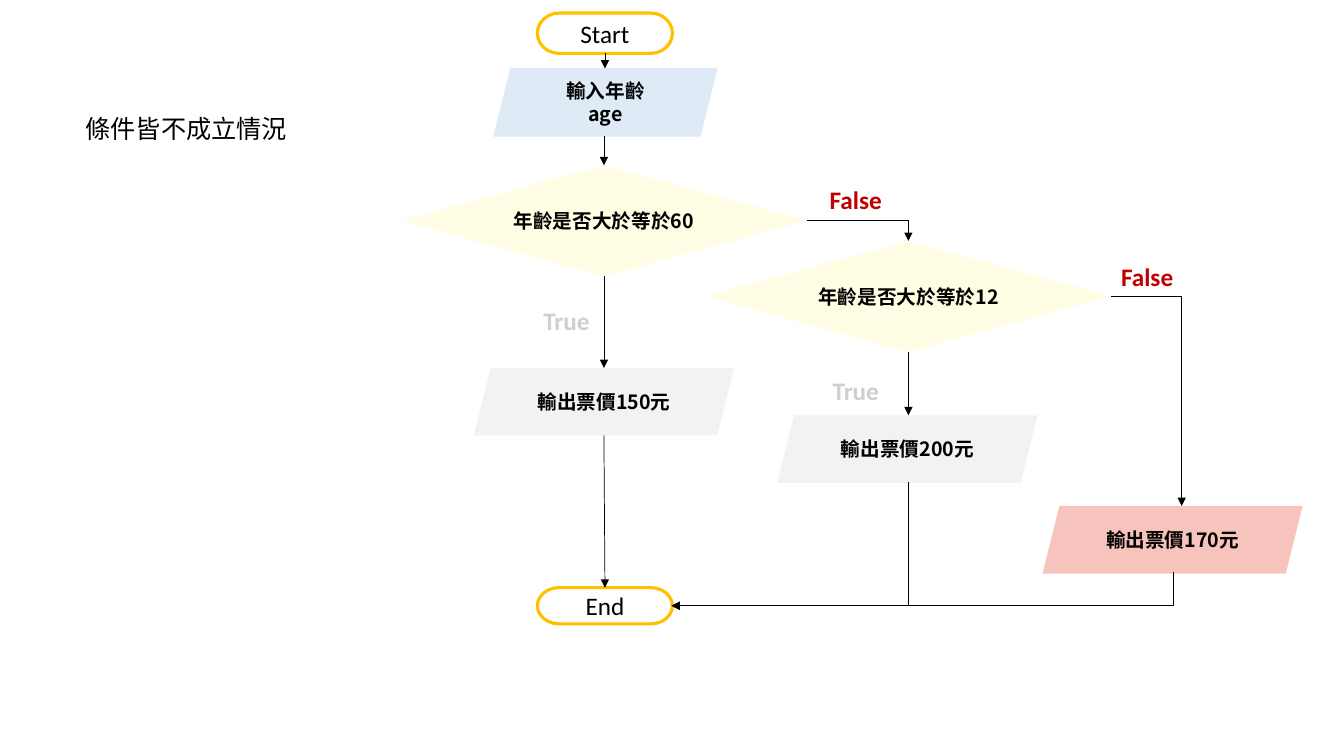
from lxml import etree
from pptx import Presentation
from pptx.dml.color import RGBColor
from pptx.enum.shapes import MSO_CONNECTOR, MSO_SHAPE
from pptx.enum.text import MSO_ANCHOR, MSO_AUTO_SIZE, PP_ALIGN
from pptx.oxml.ns import qn
from pptx.util import Inches, Pt

BLACK = RGBColor(0x00, 0x00, 0x00)
WHITE = RGBColor(0xFF, 0xFF, 0xFF)
GOLD = RGBColor(0xFF, 0xC0, 0x00)
BLUE = RGBColor(0xDE, 0xEB, 0xF7)
CREAM = RGBColor(0xFF, 0xFD, 0xE3)
GREY = RGBColor(0xF2, 0xF2, 0xF2)
PINK = RGBColor(0xF6, 0xC4, 0xBC)
RED = RGBColor(0xC0, 0x00, 0x00)
SILVER = RGBColor(0xD0, 0xCE, 0xCE)

SLANT = MSO_SHAPE.PARALLELOGRAM
DIAMOND = MSO_SHAPE.DIAMOND
PILL = MSO_SHAPE.FLOWCHART_TERMINATOR
STRAIGHT, ELBOW = MSO_CONNECTOR.STRAIGHT, MSO_CONNECTOR.ELBOW
CENTER, MIDDLE = PP_ALIGN.CENTER, MSO_ANCHOR.MIDDLE
GROW = MSO_AUTO_SIZE.SHAPE_TO_FIT_TEXT
TOP, BOTTOM = 0, 2


class Chart:
    """Flowchart style and the slide it is drawn on."""

    latin, asian = "Calibri", "Noto Sans CJK SC"

    def __init__(self, slide):
        self.shapes = slide.shapes

    def put_text(self, frame, text, size, name, color=BLACK, bold=False, align=None):
        frame.text = text
        for para in frame.paragraphs:
            para.alignment = align
            font = para.font
            font.size, font.name, font.bold = Pt(size), name, bold
            font.color.rgb = color
            props = para._p.pPr.find(qn("a:defRPr"))
            etree.SubElement(props, qn("a:ea")).set("typeface", self.asian)

    def box(self, kind, x, y, w, h, fill, text, edge=None, width=1):
        shape = self.shapes.add_shape(kind, Inches(x), Inches(y), Inches(w), Inches(h))
        shape.shadow.inherit = False
        shape.fill.solid()
        shape.fill.fore_color.rgb = fill
        if edge is None:
            shape.line.fill.background()
        else:
            shape.line.color.rgb = edge
            shape.line.width = Pt(width)
        frame = shape.text_frame
        frame.word_wrap, frame.vertical_anchor = True, MIDDLE
        pill = kind == PILL
        self.put_text(frame, text, 18 if pill else 14,
                      self.latin if pill else self.asian, bold=not pill, align=CENTER)
        return shape

    def pill(self, y, h, text):
        return self.box(PILL, 5.33, y, 1.34, h, WHITE, text, GOLD, 2.25)

    def test(self, x, y, text):
        return self.box(DIAMOND, x, y, 4.02, 1.1, CREAM, text)

    def price(self, x, y, fill, cost):
        return self.box(SLANT, x, y, 2.58, 0.67, fill, f"輸出票價{cost}元")

    def label(self, x, y, w, text, color=BLACK, bold=True):
        area = self.shapes.add_textbox(Inches(x), Inches(y), Inches(w), Inches(0.4))
        frame = area.text_frame
        frame.word_wrap, frame.auto_size = False, GROW
        self.put_text(frame, text, 18, self.latin, color, bold)

    def link(self, kind, x1, y1, x2, y2):
        line = self.shapes.add_connector(
            kind, Inches(x1), Inches(y1), Inches(x2), Inches(y2))
        line.line.color.rgb = BLACK
        line.line.width = Pt(0.5)
        props = line._element.spPr
        tail = etree.SubElement(props.find(qn("a:ln")), qn("a:tailEnd"))
        tail.set("type", "triangle")
        etree.SubElement(props, qn("a:effectLst"))
        return line

    def arrow(self, x, y1, y2, begin=None, end=None):
        line = self.link(STRAIGHT, x, y1, x, y2)
        if begin is not None:
            line.begin_connect(begin, BOTTOM)
        if end is not None:
            line.end_connect(end, TOP)

    def bend(self, x1, y1, x2, y2, down=False):
        """One corner: across then down, or down then back to the left."""
        if down:
            # A quarter turn keeps the centre and swaps width and height.
            mx, my = (x1 + x2) / 2, (y1 + y2) / 2
            dx, dy = (y2 - y1) / 2, (x1 - x2) / 2
            x1, y1, x2, y2 = mx - dx, my - dy, mx + dx, my + dy
        line = self.link(ELBOW, x1, y1, x2, y2)
        props = line._element.spPr
        props.find(qn("a:prstGeom")).set("prst", "bentConnector2")
        if down:
            props.find(qn("a:xfrm")).set("rot", "5400000")


def main():
    deck = Presentation()
    deck.slide_width, deck.slide_height = Inches(13.33), Inches(7.5)
    chart = Chart(deck.slides.add_slide(deck.slide_layouts[6]))

    # Steps
    chart.box(SLANT, 4.9, 0.68, 2.21, 0.67, BLUE, "輸入年齡\nage", BLUE)
    start = chart.pill(0.13, 0.4, "Start")
    end = chart.pill(5.83, 0.36, "End")
    senior = chart.test(3.98, 1.64, "年齡是否大於等於60")
    child = chart.test(7, 2.39, "年齡是否大於等於12")
    chart.price(4.7, 3.65, GREY, 150)
    chart.price(7.71, 4.12, GREY, 200)
    chart.price(10.34, 5.02, PINK, 170)

    # Title and branch labels
    chart.label(0.75, 1.08, 2.22, "條件皆不成立情況", bold=False)
    for x, y in ((5.29, 2.98), (8.16, 3.67)):
        chart.label(x, y, 0.66, "True", SILVER)
    for x, y in ((8.13, 1.78), (11.02, 2.54)):
        chart.label(x, y, 0.72, "False", RED)

    # Straight arrows
    chart.arrow(6, 0.53, 0.68, begin=start)
    chart.arrow(5.99, 1.35, 1.64, end=senior)
    chart.arrow(5.99, 2.74, 3.65, begin=senior)
    chart.arrow(5.99, 4.32, 5.83, end=end)
    chart.arrow(9.01, 3.49, 4.12, begin=child)

    # Bent arrows: false branches, then the ways back to the end
    chart.bend(8, 2.19, 9.01, 2.39)
    chart.bend(11.02, 2.94, 11.72, 5.02)
    chart.bend(9.01, 4.78, 6.66, 6.01, down=True)
    chart.bend(11.64, 5.68, 6.66, 6.01, down=True)

    deck.save("out.pptx")


if __name__ == "__main__":
    main()
